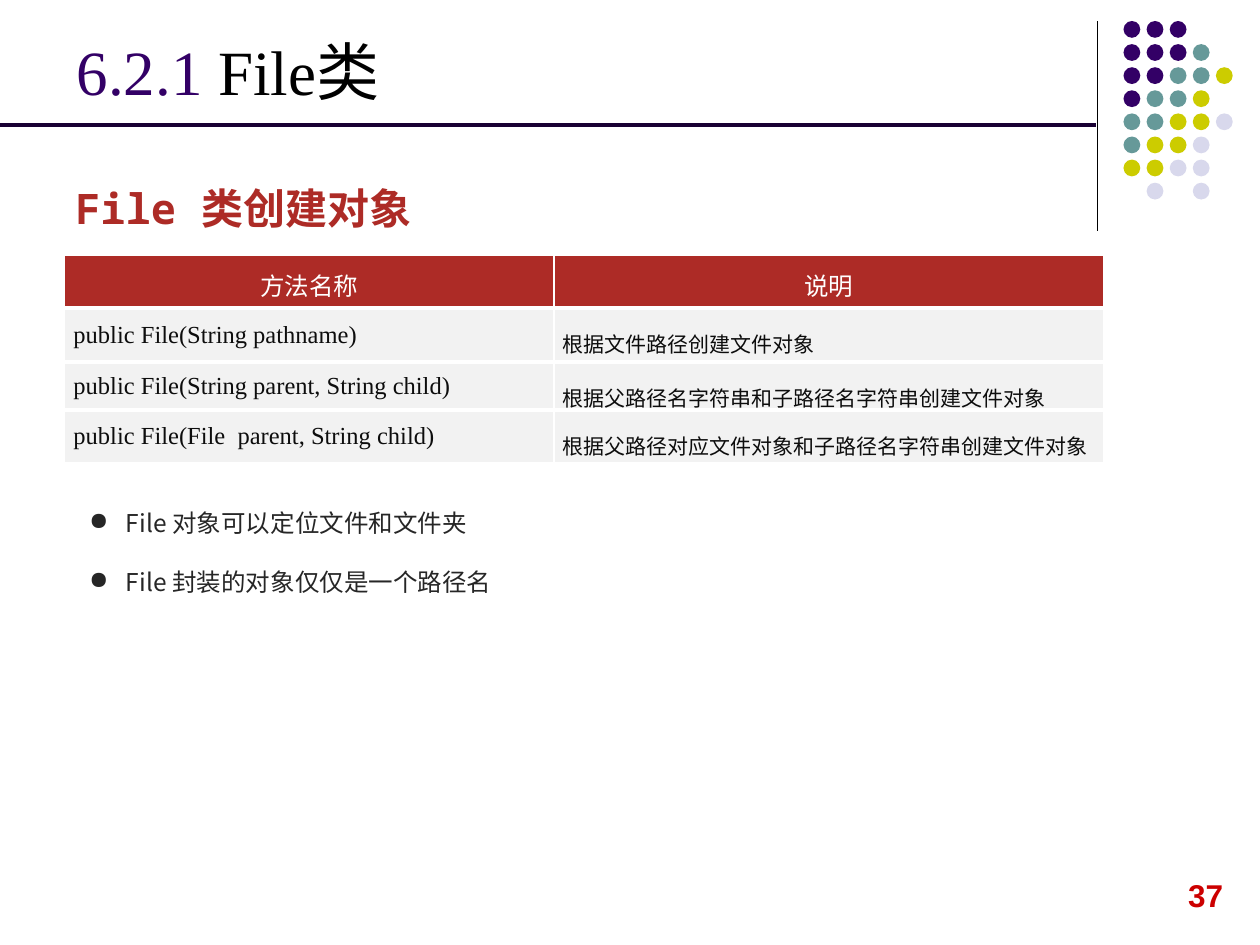
from typing import NamedTuple, Optional

from lxml import etree
from pptx import Presentation
from pptx import util as u
from pptx.dml.color import RGBColor
from pptx.enum import shapes, text
from pptx.oxml import ns

C = {
    "purple": "330066", "teal": "669999", "lime": "CCCC00", "lilac": "D8D8EC",
    "rule": "190033", "black": "000000", "white": "FFFFFF", "red": "AD2B26",
    "row": "F2F2F2", "cell": "0D0D0D", "body": "262626", "number": "CC0000",
}
SERIF, SANS, CJK, MONO = "Times New Roman", "Arial", "Noto Sans CJK JP", "Noto Sans Mono"


class Rule(NamedTuple):
    x1: float
    y1: float
    x2: float
    y2: float
    color: str
    width: float


class Method(NamedTuple):
    signature: str
    note: str
    height: float


RULES = [
    Rule(627.1, 12.2, 627.1, 131.8, "black", 0.75),
    Rule(0, 71.3, 626.4, 71.3, "rule", 2.25),
]
# One string per row of dots; a space leaves a gap
DOTS = ["ppp", "pppt", "ppttl", "pttl", "ttlli", "tlli", "llii", " i i"]
DOT_COLORS = {"p": "purple", "t": "teal", "l": "lime", "i": "lilac"}
DOT_X, DOT_Y, DOT_PITCH, DOT_SIZE = 642, 12, 13.2, 9.6

HEADERS = ("方法名称", "说明")
HEADER_HEIGHT = 30.4
COLUMNS = (279.5, 314.5)
METHODS = [
    Method("public File(String pathname)", "根据文件路径创建文件对象", 31),
    Method("public File(String parent, String child)",
           "根据父路径名字符串和子路径名字符串创建文件对象", 27.4),
    Method("public File(File  parent, String child)",
           "根据父路径对应文件对象和子路径名字符串创建文件对象", 30),
]
BULLETS = ["File 对象可以定位文件和文件夹", "File 封装的对象仅仅是一个路径名"]


def rgb(name: str) -> RGBColor:
    return RGBColor.from_string(C[name])


def add_text(p, content: str, *, size: float, font: str, color: str,
             bold: bool = False, spacing=None, align=None,
             indent: float = 0, bullet: Optional[str] = None) -> None:
    """Add a run to a paragraph and format both."""
    if spacing is not None:
        p.line_spacing = spacing
    if align is not None:
        p.alignment = align
    if indent:
        pPr = p._p.get_or_add_pPr()
        pPr.set("marL", str(u.Pt(indent)))
        pPr.set("indent", str(-u.Pt(indent)))
        if bullet:
            etree.SubElement(pPr, ns.qn("a:buChar")).set("char", bullet)
    r = p.add_run()
    r.text = content
    r.font.size, r.font.bold, r.font.name = u.Pt(size), bold, font
    r.font.color.rgb = rgb(color)
    # East Asian typeface
    etree.SubElement(r._r.get_or_add_rPr(), ns.qn("a:ea")).set("typeface", CJK)


def add_box(s, x: float, y: float, w: float, h: float, wrap: bool = True):
    tf = s.shapes.add_textbox(u.Pt(x), u.Pt(y), u.Pt(w), u.Pt(h)).text_frame
    tf.word_wrap = wrap
    return tf


def add_rule(s, rule: Rule) -> None:
    sp = s.shapes.add_connector(shapes.MSO_CONNECTOR.STRAIGHT, u.Pt(rule.x1),
                                u.Pt(rule.y1), u.Pt(rule.x2), u.Pt(rule.y2))
    sp.line.color.rgb = rgb(rule.color)
    sp.line.width = u.Pt(rule.width)
    etree.SubElement(sp._element.spPr, ns.qn("a:effectLst"))


def add_dots(s) -> None:
    for row, line in enumerate(DOTS):
        for col, key in enumerate(line):
            if key == " ":
                continue
            sp = s.shapes.add_shape(
                shapes.MSO_SHAPE.OVAL, u.Pt(DOT_X + col * DOT_PITCH),
                u.Pt(DOT_Y + row * DOT_PITCH), u.Pt(DOT_SIZE), u.Pt(DOT_SIZE))
            sp.shadow.inherit = False
            sp.fill.solid()
            sp.fill.fore_color.rgb = rgb(DOT_COLORS[key])
            sp.line.fill.background()


def style_cell(cell, fill: str, top: float, bottom: float) -> None:
    """Set margins, white borders and fill of a table cell."""
    cell.vertical_anchor = text.MSO_ANCHOR.MIDDLE
    cell.margin_left = cell.margin_right = u.Pt(5)
    cell.margin_top = cell.margin_bottom = u.Pt(2.6)
    tcPr = cell._tc.get_or_add_tcPr()
    for side, width in (("L", 1), ("R", 1), ("T", top), ("B", bottom)):
        ln = etree.SubElement(tcPr, ns.qn(f"a:ln{side}"), w=str(u.Pt(width)))
        solid = etree.SubElement(ln, ns.qn("a:solidFill"))
        etree.SubElement(solid, ns.qn("a:srgbClr"), val=C["white"])
    cell.fill.solid()
    cell.fill.fore_color.rgb = rgb(fill)


def add_methods(s) -> None:
    heights = [HEADER_HEIGHT] + [m.height for m in METHODS]
    table = s.shapes.add_table(len(heights), len(COLUMNS), u.Pt(37), u.Pt(145.6),
                               u.Pt(sum(COLUMNS)), u.Pt(sum(heights))).table
    table.first_row = table.horz_banding = False
    for col, width in zip(table.columns, COLUMNS):
        col.width = u.Pt(width)
    last = len(METHODS)
    for i, height in enumerate(heights):
        table.rows[i].height = u.Pt(height)
        for cell in table.rows[i].cells:
            style_cell(cell, "row" if i else "red", 3 if i else 1, 1 if i == last else 3)
    for col, title in enumerate(HEADERS):
        add_text(table.cell(0, col).text_frame.paragraphs[0], title, size=14,
                 font=SANS, color="white", spacing=u.Pt(24), align=text.PP_ALIGN.CENTER)
    for i, m in enumerate(METHODS, 1):
        add_text(table.cell(i, 0).text_frame.paragraphs[0], m.signature,
                 size=14, font=SERIF, color="cell")
        add_text(table.cell(i, 1).text_frame.paragraphs[0], m.note,
                 size=12, font=CJK, color="cell", spacing=1.5)


def main() -> None:
    prs = Presentation()
    prs.slide_width, prs.slide_height = u.Pt(720), u.Pt(540)
    s = prs.slides.add_slide(prs.slide_layouts[6])

    # Frame: rules, dot pattern, page number
    for rule in RULES:
        add_rule(s, rule)
    add_dots(s)
    tf = add_box(s, 671.8, 496.8, 34.6, 28.8, wrap=False)
    add_text(tf.paragraphs[0], "37", size=18, font=SANS, color="number", bold=True)

    # Title and heading
    p = add_box(s, 36.7, 15.1, 594, 56.9).paragraphs[0]
    add_text(p, "6.2.1 ", size=36, font=SERIF, color="purple", indent=27)
    add_text(p, "File类", size=36, font=SERIF, color="black")
    tf = add_box(s, 36, 72, 268.6, 56.9)
    add_text(tf.paragraphs[0], "File 类创建对象", size=24, font=MONO,
             color="red", bold=True, spacing=2.0)

    # Constructor table
    add_methods(s)

    # Bullets
    tf = add_box(s, 43.9, 270, 580.3, 69.8)
    for i, line in enumerate(BULLETS):
        p = tf.add_paragraph() if i else tf.paragraphs[0]
        add_text(p, line, size=14, font=CJK, color="body", spacing=2.0,
                 indent=21, bullet="●")

    prs.save("out.pptx")


if __name__ == "__main__":
    main()
